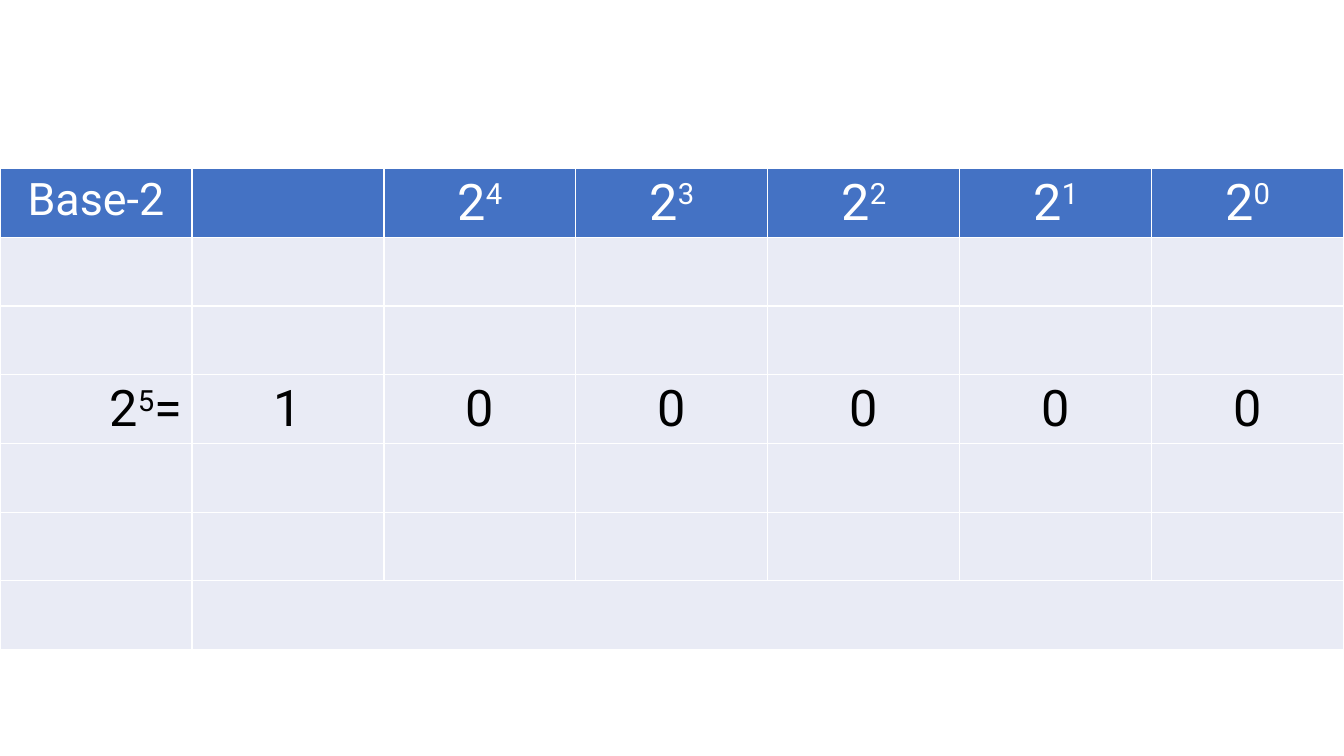
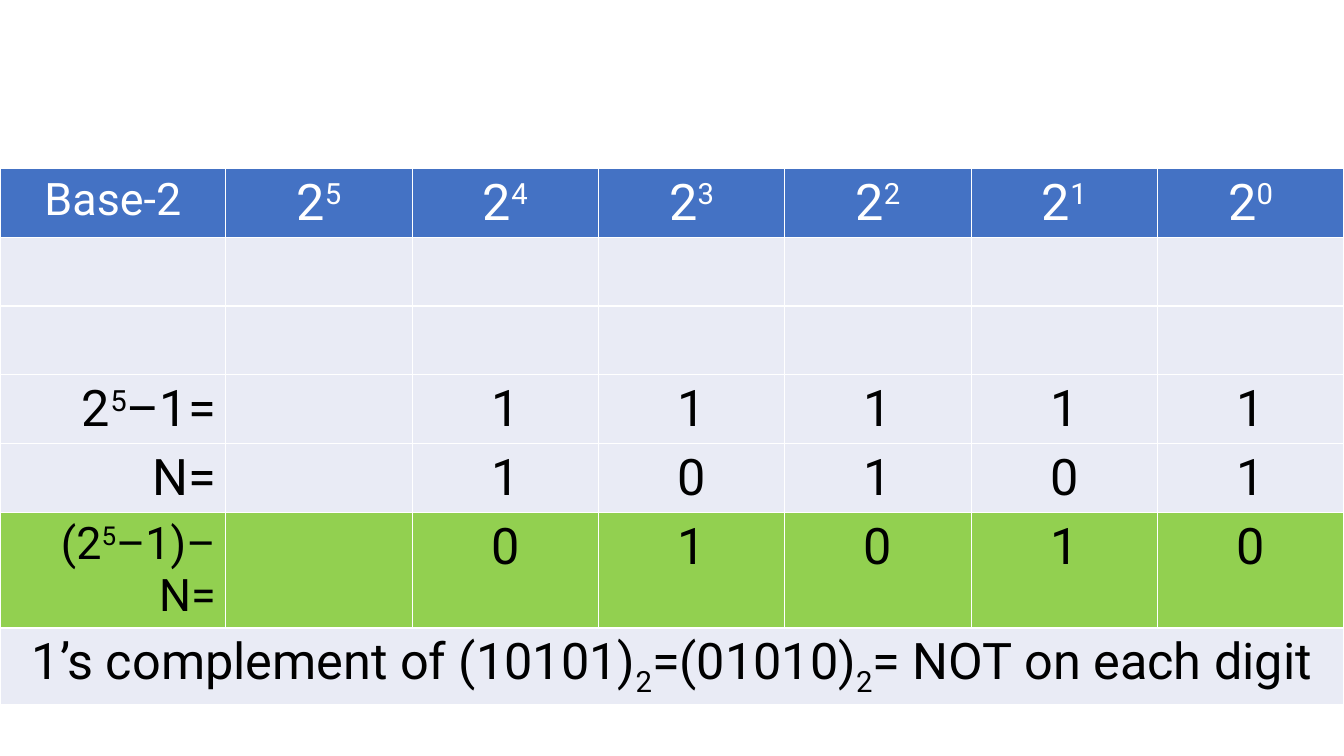
from dataclasses import dataclass

from lxml import etree
from pptx import Presentation
from pptx import util as u
from pptx.dml.color import RGBColor
from pptx.enum import text
from pptx.oxml import ns

WIDE, TALL = 13.33, 7.5
TOP, STEP = 1.67, 0.68
FONT = "Roboto"
BLUE, PALE, GREEN = "4472C4", "E9EBF5", "92D050"
WHITE, BLACK = "FFFFFF", "000000"
COLS = 7
ALIGN = text.PP_ALIGN
SHIFTS = {"^": "30000", "_": "-25000"}


@dataclass(frozen=True)
class Row:
    cells: tuple[str, ...] = ()
    fill: str = PALE
    ink: str = BLACK
    high: float = STEP
    lead: ALIGN = ALIGN.RIGHT  # alignment of the first cell
    size: int = 36  # text size of the first cell
    merge: int = COLS  # first column of the merged cell


@dataclass(frozen=True)
class Grid:
    first: float
    rows: tuple[Row, ...]


def color(code: str) -> RGBColor:
    return RGBColor.from_string(code)


def edge(cell) -> None:
    """Draw thin white borders on all four sides."""
    props = cell._tc.get_or_add_tcPr()
    for side in ("lnL", "lnR", "lnT", "lnB"):
        line = etree.SubElement(props, ns.qn(f"a:{side}"), w=str(u.Pt(1)))
        fill = etree.SubElement(line, ns.qn("a:solidFill"))
        etree.SubElement(fill, ns.qn("a:srgbClr"), val=WHITE)


def write(cell, words: str, size: int, ink: str, align: ALIGN) -> None:
    """Split words at "|"; a part led by ^ is raised, one led by _ lowered."""
    par = cell.text_frame.paragraphs[0]
    par.alignment = align
    for part in words.split("|"):
        run = par.add_run()
        run.text = part.lstrip("^_")
        run.font.name = FONT
        run.font.size = u.Pt(size)
        run.font.color.rgb = color(ink)
        if part[0] in SHIFTS:
            run._r.get_or_add_rPr().set("baseline", SHIFTS[part[0]])


def fill_row(table, index: int, row: Row) -> None:
    table.rows[index].height = u.Inches(row.high)
    for col in range(COLS):
        cell = table.cell(index, col)
        edge(cell)
        cell.fill.solid()
        cell.fill.fore_color.rgb = color(row.fill)
        if col < len(row.cells) and row.cells[col]:
            size, align = (36, ALIGN.CENTER) if col else (row.size, row.lead)
            write(cell, row.cells[col], size, row.ink, align)
    if row.merge < COLS:
        table.cell(index, row.merge).merge(table.cell(index, COLS - 1))


def add_grid(slide, grid: Grid) -> None:
    high = sum(row.high for row in grid.rows)
    table = slide.shapes.add_table(
        len(grid.rows), COLS, 0, u.Inches(TOP), u.Inches(WIDE), u.Inches(high)
    ).table
    table.first_row = table.horz_banding = False
    rest = (WIDE - grid.first) / (COLS - 1)
    for col in range(COLS):
        table.columns[col].width = u.Inches(rest if col else grid.first)
    for index, row in enumerate(grid.rows):
        fill_row(table, index, row)


def head(second: str) -> Row:
    powers = tuple(f"2|^{power}" for power in range(4, -1, -1))
    return Row(("Base-2", second, *powers), BLUE, WHITE,
               lead=ALIGN.CENTER, size=32)


GRIDS = (
    Grid(WIDE / COLS, (
        head(""),
        Row(),
        Row(),
        Row(("2|^5|=", *"100000")),
        Row(),
        Row(),
        Row(merge=1),
    )),
    Grid(2.24, (
        head("2|^5"),
        Row(),
        Row(),
        Row(("2|^5|–1=", "", *"11111")),
        Row(("N=", "", *"10101")),
        Row(("(2|^5|–1)–N=", "", *"01010"), GREEN, high=1.14, size=32),
        Row(("1’s complement of (10101)|_2|=(01010)|_2|= NOT on each digit",),
            high=0.76, lead=ALIGN.CENTER, merge=0),
    )),
)


def main() -> None:
    deck = Presentation()
    deck.slide_width, deck.slide_height = u.Inches(WIDE), u.Inches(TALL)
    for grid in GRIDS:
        add_grid(deck.slides.add_slide(deck.slide_layouts[6]), grid)
    deck.save("out.pptx")


if __name__ == "__main__":
    main()
